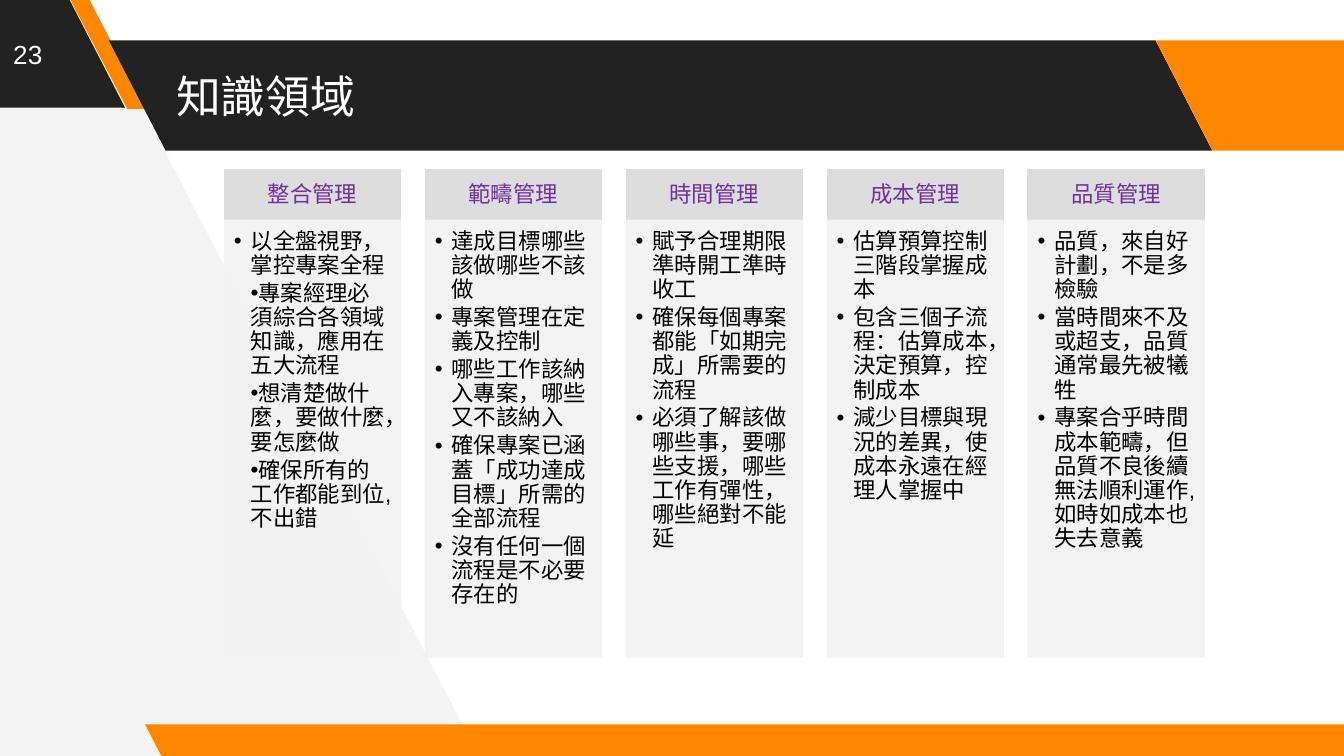
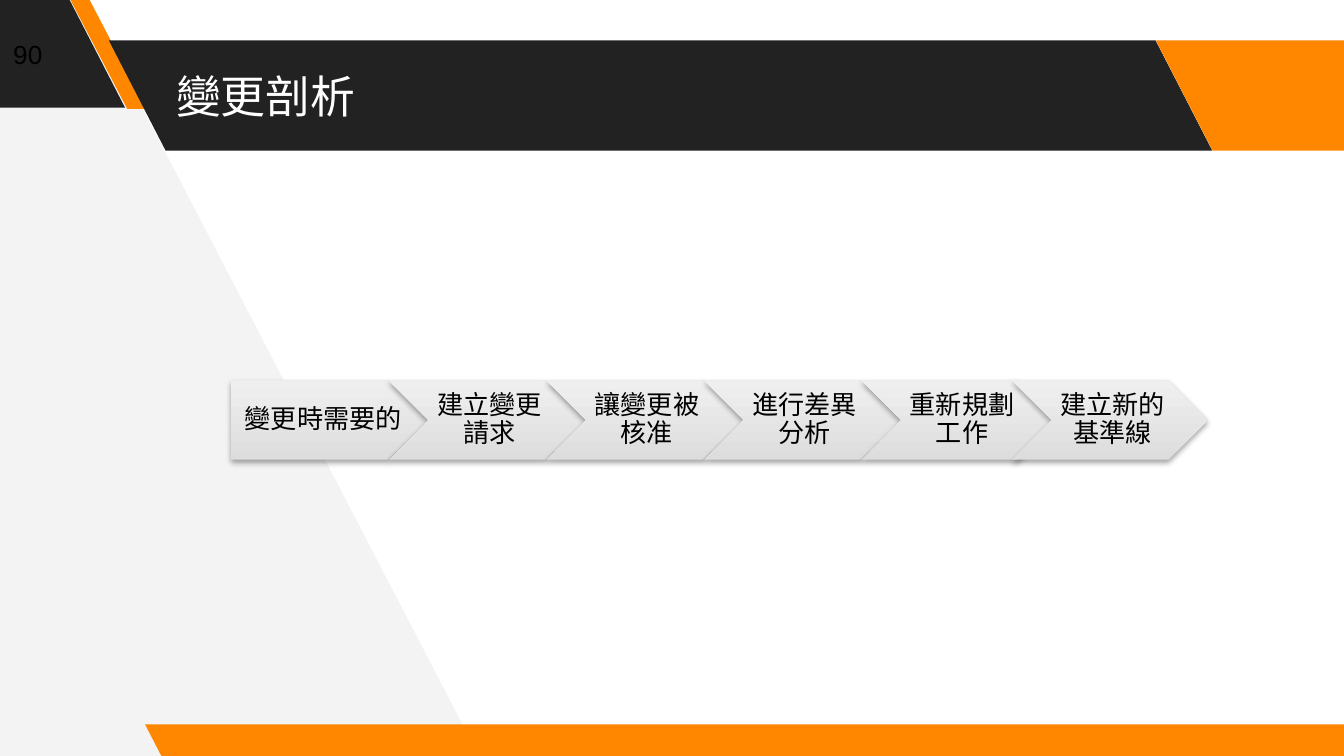
"""Build two project-management slides that share one banded layout."""
from lxml import etree
from pptx import Presentation
from pptx import util as u
from pptx.dml.color import RGBColor
from pptx.enum import shapes, text
from pptx.oxml.ns import qn

FONT = "Arial"
COLORS = {
    "dark": "222222", "orange": "FF8700", "side": "F3F3F3", "white": "FFFFFF",
    "black": "000000", "purple": "7030A0", "header": "DDDDDD", "panel": "F2F2F2",
    "gleam": "EFEFEF",
}
SIDE_PANEL = [(3.56, 5.62), (0.62, -0.04), (-0.06, -0.04), (-0.02, 5.66)]
BANDS = [
    ((-0.99, -0.02, 1.92, 0.82), 0.515, "dark"),
    ((0.52, -0.01, 0.57, 0.82), 0.75, "orange"),
    ((0.81, 0.3, 8.21, 0.82), 0.515, "dark"),
    ((8.6, 0.3, 1.92, 0.82), 0.515, "orange"),
    ((1.08, 5.39, 9.15, 0.25), 0.515, "orange"),
]
AREAS = {
    "整合管理": [
        "以全盤視野，掌控專案全程",
        "專案經理必須綜合各領域知識，應用在五大流程",
        "想清楚做什麼，要做什麼，要怎麼做",
        "確保所有的工作都能到位,不出錯",
    ],
    "範疇管理": [
        "達成目標哪些該做哪些不該做",
        "專案管理在定義及控制",
        "哪些工作該納入專案，哪些又不該納入",
        "確保專案已涵蓋「成功達成目標」所需的全部流程",
        "沒有任何一個流程是不必要存在的",
    ],
    "時間管理": [
        "賦予合理期限準時開工準時收工",
        "確保每個專案都能「如期完成」所需要的流程",
        "必須了解該做哪些事，要哪些支援，哪些工作有彈性，哪些絕對不能延",
    ],
    "成本管理": [
        "估算預算控制三階段掌握成本",
        "包含三個子流程：估算成本，決定預算，控制成本",
        "減少目標與現況的差異，使成本永遠在經理人掌握中",
    ],
    "品質管理": [
        "品質，來自好計劃，不是多檢驗",
        "當時間來不及或超支，品質通常最先被犧牲",
        "專案合乎時間成本範疇，但品質不良後續無法順利運作,如時如成本也失去意義",
    ],
}
UNHUNG_AREA = "整合管理"
STEPS = ["變更時需要的", "建立變更請求", "讓變更被核准", "進行差異分析", "重新規劃工作", "建立新的基準線"]


def color(name):
    return RGBColor.from_string(COLORS[name])


def inches(values):
    return [u.Inches(value) for value in values]


def add_box(page, kind, place, fill=None):
    box = page.shapes.add_shape(kind, *inches(place))
    box.shadow.inherit = False
    box.line.fill.background()
    if fill:
        box.fill.solid()
        box.fill.fore_color.rgb = color(fill)
    return box


def write(box, lines, size, ink, insets, align, anchor=text.MSO_ANCHOR.MIDDLE, spacing=None, after=None):
    frame = box.text_frame
    frame.word_wrap = True
    frame.vertical_anchor = anchor
    frame.margin_left, frame.margin_top, frame.margin_right, frame.margin_bottom = inches(insets)
    frame.text = "\n".join(lines)
    for para in frame.paragraphs:
        para.alignment = align
        para.line_spacing = spacing
        para.space_after = after
        para.font.name = FONT
        para.font.size = u.Pt(size)
        para.font.color.rgb = color(ink)


def add_bullet(para, hanging):
    props = para._p.get_or_add_pPr()
    props.set("marL", str(u.Pt(9)))
    props.set("indent", str(u.Pt(-9 if hanging else 0)))
    run_defaults = props.find(qn("a:defRPr"))
    run_defaults.addprevious(etree.Element(qn("a:buFont"), typeface=FONT))
    run_defaults.addprevious(etree.Element(qn("a:buChar"), char="•"))


def set_opacity(box, percent):
    for tint in box.element.spPr.iter(qn("a:srgbClr")):
        etree.SubElement(tint, qn("a:alpha"), val=str(percent * 1000))


def add_soft_shadow(box):
    effects = box.element.spPr.find(qn("a:effectLst"))
    shadow = etree.SubElement(effects, qn("a:outerShdw"), blurRad=str(u.Pt(3.1)),
                              dist=str(u.Pt(1.8)), dir="5400000", rotWithShape="0")
    tint = etree.SubElement(shadow, qn("a:srgbClr"), val=COLORS["black"])
    etree.SubElement(tint, qn("a:alpha"), val="35000")


def move_bands_to_layout(page):
    corners = [inches(point) for point in SIDE_PANEL]
    builder = page.shapes.build_freeform(*corners[0])
    builder.add_line_segments(corners[1:], close=True)
    side = builder.convert_to_shape()
    side.shadow.inherit = False
    side.fill.solid()
    side.fill.fore_color.rgb = color("side")
    side.line.fill.background()
    parts = [side]
    for place, slant, fill in BANDS:
        band = add_box(page, shapes.MSO_SHAPE.PARALLELOGRAM, place, fill)
        band.adjustments[0] = slant
        band.element.spPr.xfrm.set("flipH", "1")
        parts.append(band)
    for part in parts:
        page.slide_layout.shapes.element.append(part.element)


def start_page(deck, title, number, number_ink):
    page = deck.slides.add_slide(deck.slide_layouts[5])
    heading = page.shapes.title
    heading.left, heading.top, heading.width, heading.height = inches((1.21, 0.3, 7.35, 0.82))
    write(heading, [title], 24, "white", [0.1] * 4, text.PP_ALIGN.LEFT)
    corner = page.shapes.add_textbox(*inches((0, 0, 0.65, 0.8)))
    write(corner, [number], 14, number_ink, [0.1] * 4, text.PP_ALIGN.LEFT)
    return page


def add_areas(page):
    left, top, width, head, body = 1.67, 1.26, 1.31, 0.38, 3.25
    pitch = (7.65 - left) / (len(AREAS) - 1)
    for column, (name, points) in enumerate(AREAS.items()):
        x = left + column * pitch
        header = add_box(page, shapes.MSO_SHAPE.RECTANGLE, (x, top, width, head), "header")
        panel = add_box(page, shapes.MSO_SHAPE.RECTANGLE, (x, top + head, width, body), "panel")
        for box, ink in ((header, "header"), (panel, "panel")):
            box.line.color.rgb = color(ink)
            box.line.width = u.Pt(0.75)
        set_opacity(panel, 90)
        write(header, [name], 12, "purple", (0.09, 0.05, 0.09, 0.05),
              text.PP_ALIGN.CENTER, spacing=0.9)
        write(panel, points, 12, "black", (0.07, 0.07, 0.09, 0.1), text.PP_ALIGN.LEFT,
              text.MSO_ANCHOR.TOP, spacing=0.9, after=u.Pt(2))
        for row, para in enumerate(panel.text_frame.paragraphs):
            para.level = 1
            add_bullet(para, hanging=row == 0 or name != UNHUNG_AREA)


def add_steps(page):
    left, top, width, height = 1.72, 2.83, 1.46, 0.59
    last_left = 7.53
    pitch = (6.41 - left) / (len(STEPS) - 2)
    for index, label in enumerate(STEPS):
        first, last = index == 0, index == len(STEPS) - 1
        kind = shapes.MSO_SHAPE.PENTAGON if first else shapes.MSO_SHAPE.CHEVRON
        x = last_left if last else left + index * pitch
        step = add_box(page, kind, (x, top, width, height))
        step.fill.gradient()
        step.fill.gradient_angle = 90
        for stop, tint, position in zip(step.fill.gradient_stops, ("header", "gleam"), (0, 1)):
            stop.color.rgb = color(tint)
            stop.position = position
        add_soft_shadow(step)
        write(step, [label], 14, "black", (0.08 if first else 0.06, 0.04, 0.02, 0.04),
              text.PP_ALIGN.CENTER, spacing=0.9)


def main():
    deck = Presentation()
    deck.slide_width = u.Inches(10)
    deck.slide_height = deck.slide_width * 9 // 16
    areas_page = start_page(deck, "知識領域", "23", "white")
    move_bands_to_layout(areas_page)
    add_areas(areas_page)
    add_steps(start_page(deck, "變更剖析", "90", "black"))
    deck.save("out.pptx")


if __name__ == "__main__":
    main()
